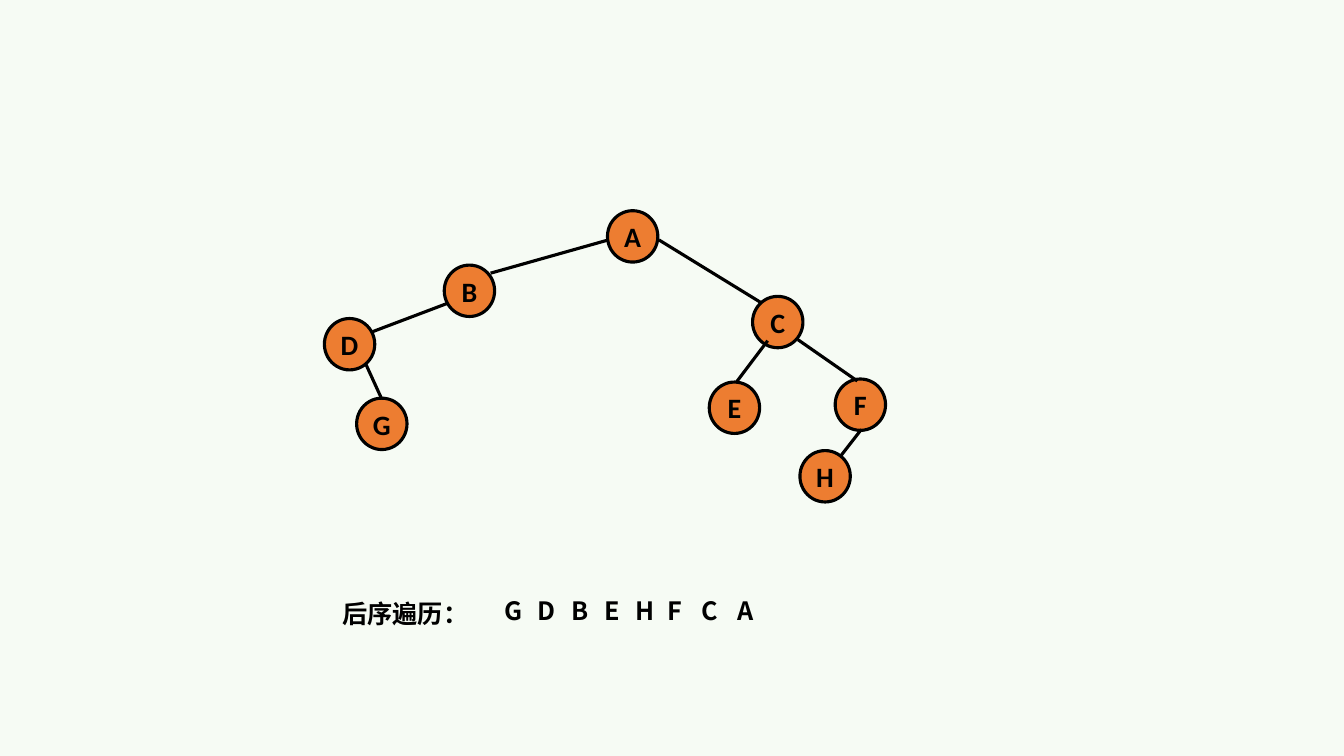
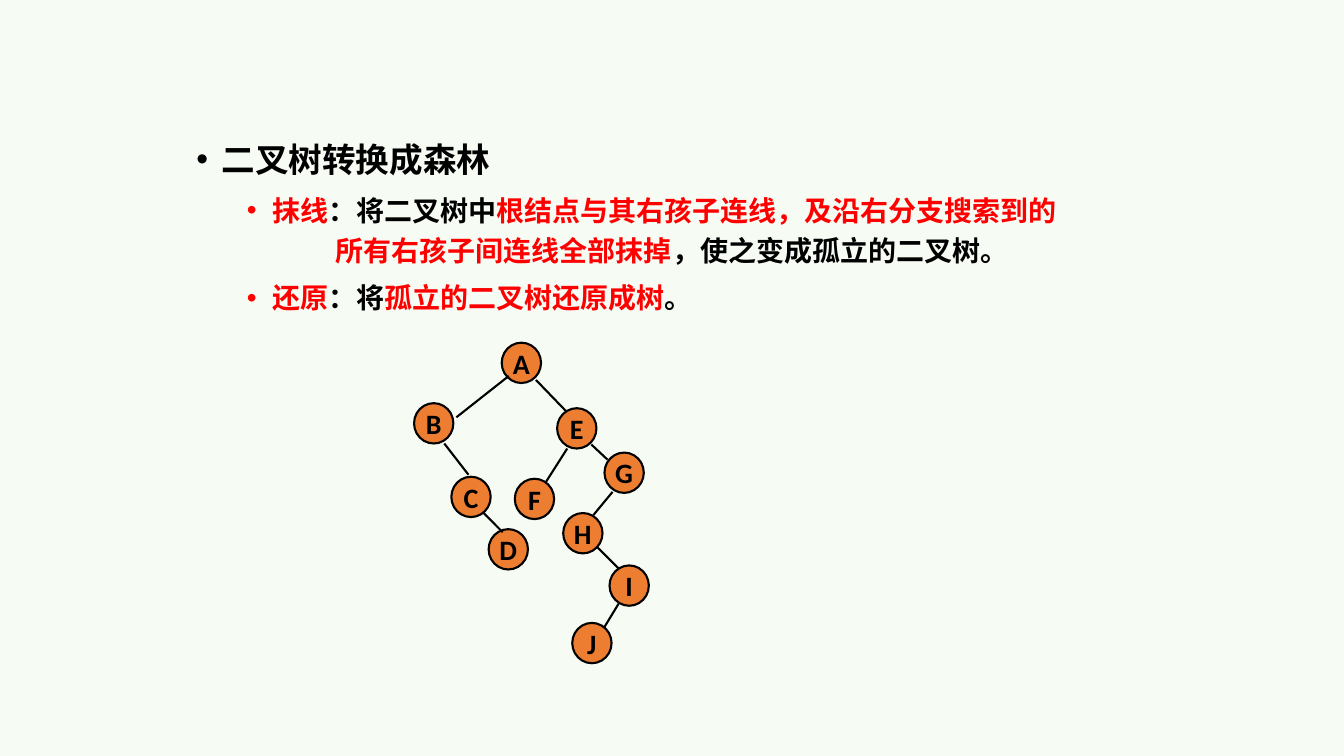
from dataclasses import dataclass

from lxml import etree
from pptx import Presentation
from pptx.dml.color import RGBColor
from pptx.enum.shapes import MSO_CONNECTOR, MSO_SHAPE
from pptx.enum.text import MSO_ANCHOR, MSO_AUTO_SIZE, PP_ALIGN
from pptx.oxml.ns import qn
from pptx.util import Inches, Pt

ELLIPSE = MSO_SHAPE.OVAL
STRAIGHT = MSO_CONNECTOR.STRAIGHT
MIDDLE, TOP = MSO_ANCHOR.MIDDLE, MSO_ANCHOR.TOP
LEFT, CENTER = PP_ALIGN.LEFT, PP_ALIGN.CENTER
NO_AUTOFIT = MSO_AUTO_SIZE.NONE
BODY_LAYOUT, BLANK_LAYOUT = 1, 6


@dataclass(frozen=True)
class Theme:
    background: RGBColor = RGBColor(0xF6, 0xFB, 0xF4)
    node: RGBColor = RGBColor(0xED, 0x7D, 0x31)
    ink: RGBColor = RGBColor(0, 0, 0)
    accent: RGBColor = RGBColor(0xFF, 0, 0)
    latin_font: str = "Calibri"
    chinese_font: str = "Noto Sans CJK SC"
    heading_size: int = 24
    text_size: int = 20
    label_size: int = 18


THEME = Theme()


@dataclass(frozen=True)
class Node:
    name: str
    left: float
    top: float


@dataclass(frozen=True)
class Edge:
    x1: float
    y1: float
    x2: float
    y2: float


@dataclass(frozen=True)
class Tree:
    node_width: float
    node_height: float
    line_width: float
    nodes: list[Node]
    edges: list[Edge]


@dataclass(frozen=True)
class BodyLine:
    phrases: list[tuple[str, RGBColor]]
    size: int
    margin: float
    level: int = 1
    space_before: int = 0
    bullet: bool = True


# Content
TRAVERSAL_TREE = Tree(
    0.5, 0.51, 2.25,
    [Node("A", 6.03, 2.09), Node("B", 4.41, 2.63), Node("C", 7.47, 2.94),
     Node("D", 3.22, 3.16), Node("G", 3.54, 3.95), Node("E", 7.04, 3.79),
     Node("F", 8.29, 3.76), Node("H", 7.94, 4.47)],
    [Edge(6.04, 2.38, 4.87, 2.71), Edge(6.54, 2.38, 7.55, 3),
     Edge(4.44, 3.01, 3.7, 3.29), Edge(3.63, 3.61, 3.79, 3.96),
     Edge(7.62, 3.38, 7.31, 3.79), Edge(7.92, 3.37, 8.51, 3.78),
     Edge(8.55, 4.26, 8.34, 4.53)],
)
FOREST_TREE = Tree(
    0.39, 0.4, 1.5,
    [Node("A", 4.98, 3.4), Node("B", 4.11, 4), Node("C", 4.48, 4.73),
     Node("D", 4.85, 5.25), Node("E", 5.53, 4.05), Node("F", 5.11, 4.75),
     Node("G", 6, 4.49), Node("H", 5.59, 5.09), Node("I", 6.05, 5.61),
     Node("J", 5.68, 6.18)],
    [Edge(5.05, 3.73, 4.53, 4.14), Edge(5.32, 3.77, 5.62, 4.08),
     Edge(4.41, 4.4, 4.65, 4.71), Edge(4.8, 5.09, 4.99, 5.28),
     Edge(5.63, 4.45, 5.42, 4.78), Edge(5.87, 4.41, 6.03, 4.56),
     Edge(6.08, 4.88, 5.89, 5.11), Edge(5.93, 5.43, 6.14, 5.64),
     Edge(6.14, 5.99, 6, 6.22)],
)
VISIT_CENTERS = {"G": 5.1, "D": 5.42, "B": 5.76, "E": 6.08,
                 "H": 6.4, "F": 6.7, "C": 7.05, "A": 7.4}
BODY_LINES = [
    BodyLine([("二叉树转换成森林", THEME.ink)], THEME.heading_size, 0.25, level=0),
    BodyLine([("抹线", THEME.accent), ("：将二叉树中", THEME.ink),
              ("根结点与其右孩子连线，及沿右分支搜索到的", THEME.accent)],
             THEME.text_size, 0.75, space_before=5),
    BodyLine([("所有右孩子间连线全部抹掉", THEME.accent),
              ("，使之变成孤立的二叉树。", THEME.ink)],
             THEME.text_size, 1.38, bullet=False),
    BodyLine([("还原", THEME.accent), ("：将", THEME.ink),
              ("孤立的二叉树还原成树", THEME.accent), ("。", THEME.ink)],
             THEME.text_size, 0.75, space_before=5),
]


# Text helpers
def format_paragraph(paragraph, size: int, latin_font: str, color: RGBColor = THEME.ink) -> None:
    font = paragraph.font
    font.size, font.bold, font.name = Pt(size), True, latin_font
    font.color.rgb = color
    defaults = paragraph._p.pPr.find(qn("a:defRPr"))
    etree.SubElement(defaults, qn("a:ea"), typeface=THEME.chinese_font)


def set_bullet(paragraph, line: BodyLine) -> None:
    properties = paragraph._p.get_or_add_pPr()
    hanging = 0.25 if line.bullet else 0
    properties.set("marL", str(Inches(line.margin)))
    properties.set("indent", str(-Inches(hanging)))
    if not line.bullet:
        etree.SubElement(properties, qn("a:buNone"))
        return
    color = etree.SubElement(properties, qn("a:buClr"))
    etree.SubElement(color, qn("a:srgbClr"), val=str(line.phrases[0][1]))
    etree.SubElement(properties, qn("a:buFont"), typeface="Arial")
    etree.SubElement(properties, qn("a:buChar"), char="•")


def add_label(slide, text: str, left: float, top: float, width: float, alignment=CENTER) -> None:
    box = slide.shapes.add_textbox(Inches(left), Inches(top), Inches(width), Inches(0.4))
    frame = box.text_frame
    frame.word_wrap, frame.vertical_anchor = False, MIDDLE
    paragraph = frame.paragraphs[0]
    paragraph.text, paragraph.alignment = text, alignment
    format_paragraph(paragraph, THEME.label_size, THEME.chinese_font)


def fill_body(body, lines: list[BodyLine]) -> None:
    frame = body.text_frame
    frame.auto_size, frame.word_wrap, frame.vertical_anchor = NO_AUTOFIT, True, TOP
    for index, line in enumerate(lines):
        paragraph = frame.add_paragraph() if index else frame.paragraphs[0]
        set_bullet(paragraph, line)
        paragraph.level, paragraph.alignment = line.level, LEFT
        paragraph.line_spacing = 1.2
        paragraph.space_before, paragraph.space_after = Pt(line.space_before), Pt(0)
        format_paragraph(paragraph, line.size, THEME.latin_font)
        for text, color in line.phrases:
            run = paragraph.add_run()
            run.text = text
            run.font.color.rgb = color


# Tree drawing
def add_node(shapes, node: Node, tree: Tree) -> None:
    circle = shapes.add_shape(ELLIPSE, Inches(node.left), Inches(node.top),
                              Inches(tree.node_width), Inches(tree.node_height))
    circle.shadow.inherit = False
    circle.fill.solid()
    circle.fill.fore_color.rgb = THEME.node
    circle.line.color.rgb = THEME.ink
    circle.line.width = Pt(tree.line_width)
    frame = circle.text_frame
    frame.word_wrap, frame.vertical_anchor = False, MIDDLE
    paragraph = frame.paragraphs[0]
    paragraph.text, paragraph.alignment = node.name, CENTER
    format_paragraph(paragraph, THEME.text_size, THEME.latin_font)


def add_edge(shapes, edge: Edge, line_width: float) -> None:
    connector = shapes.add_connector(STRAIGHT, Inches(edge.x1), Inches(edge.y1),
                                     Inches(edge.x2), Inches(edge.y2))
    connector.line.color.rgb = THEME.ink
    connector.line.width = Pt(line_width)
    etree.SubElement(connector._element.spPr, qn("a:effectLst"))


def add_tree(slide, tree: Tree) -> None:
    shapes = slide.shapes.add_group_shape().shapes
    for node in tree.nodes:
        add_node(shapes, node, tree)
    for edge in tree.edges:
        add_edge(shapes, edge, tree.line_width)


# Slides
def build_traversal_slide(presentation) -> None:
    slide = presentation.slides.add_slide(presentation.slide_layouts[BLANK_LAYOUT])
    add_tree(slide, TRAVERSAL_TREE)
    add_label(slide, "后序遍历：", 3.3, 5.89, 1.45, LEFT)
    width = 0.38
    for name, center in VISIT_CENTERS.items():
        add_label(slide, name, center - width / 2, 5.86, width)


def build_forest_slide(presentation) -> None:
    slide = presentation.slides.add_slide(presentation.slide_layouts[BODY_LAYOUT])
    title = slide.shapes.title.element
    title.getparent().remove(title)
    body = slide.placeholders[1]
    body.left, body.top = Inches(1.85), Inches(1.25)
    body.width, body.height = Inches(8.96), Inches(2.08)
    fill_body(body, BODY_LINES)
    add_tree(slide, FOREST_TREE)


def main() -> None:
    presentation = Presentation()
    presentation.slide_width, presentation.slide_height = Inches(13.34), Inches(7.5)
    background = presentation.slide_master.background.fill
    background.solid()
    background.fore_color.rgb = THEME.background
    build_traversal_slide(presentation)
    build_forest_slide(presentation)
    presentation.save("out.pptx")


if __name__ == "__main__":
    main()
